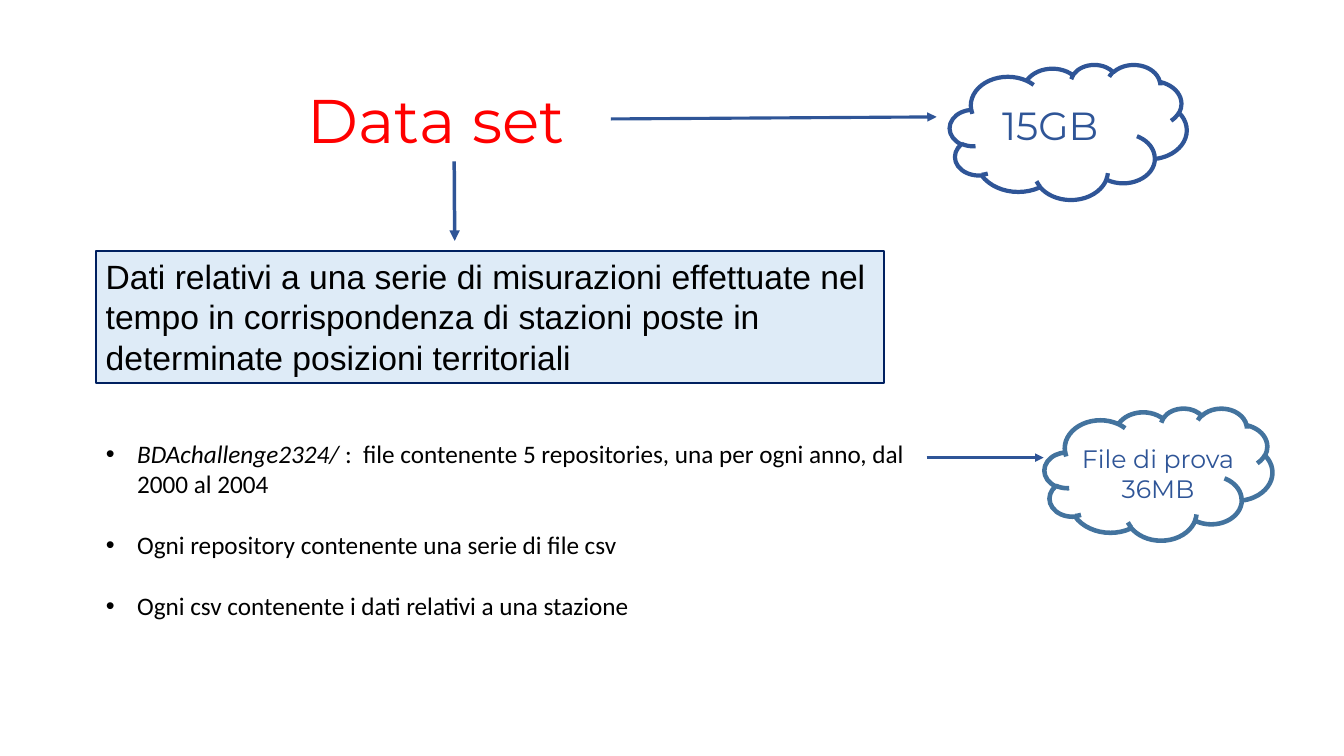
from lxml.etree import SubElement
from pptx import Presentation
from pptx.dml.color import RGBColor
from pptx.enum.shapes import MSO_CONNECTOR as Connector, MSO_SHAPE as Shape
from pptx.enum.text import MSO_ANCHOR as Anchor, MSO_AUTO_SIZE as AutoSize, PP_ALIGN as Align
from pptx.oxml.ns import qn
from pptx.util import Pt

EMU_PER_PX = 9144
RED = RGBColor(0xFF, 0x00, 0x00)
BLACK = RGBColor(0x00, 0x00, 0x00)
WHITE = RGBColor(0xFF, 0xFF, 0xFF)
BLUE = RGBColor(0x2F, 0x55, 0x97)
STEEL = RGBColor(0x43, 0x73, 0x9E)
NAVY = RGBColor(0x00, 0x20, 0x60)
PALE = RGBColor(0xDE, 0xEB, 0xF7)


def px(*lengths):
    return [length * EMU_PER_PX for length in lengths]


def set_format(target, values):
    for name, value in values.items():
        setattr(target, name, value)


class SlideBuilder:
    frame_format = {"word_wrap": True, "auto_size": AutoSize.NONE, "vertical_anchor": Anchor.TOP}
    bullet_indent = 31

    def __init__(self, deck, layout):
        self.page = deck.slides.add_slide(deck.slide_layouts[layout])

    def fill_text(self, box, lines, font, size, color, align=Align.LEFT, gap=0):
        frame = box.text_frame
        set_format(frame, self.frame_format)
        for index, line in enumerate(lines):
            para = frame.add_paragraph() if index else frame.paragraphs[0]
            set_format(para, {"alignment": align, "line_spacing": 1.0,
                              "space_before": Pt(gap if index else 0), "space_after": Pt(0)})
            for text, italic in line:
                span = para.add_run()
                span.text = text
                set_format(span.font, {"name": font, "size": Pt(size), "italic": italic})
                span.font.color.rgb = color
        return box

    def placeholder(self, index, bounds, lines, **style):
        box = self.page.placeholders[index]
        set_format(box, dict(zip(("left", "top", "width", "height"), px(*bounds))))
        return self.fill_text(box, lines, **style)

    def bullets(self, bounds, lines, **style):
        box = self.placeholder(1, bounds, lines, **style)
        indent = self.bullet_indent * EMU_PER_PX
        for para in box.text_frame.paragraphs:
            properties = para._p.get_or_add_pPr()
            properties.set("marL", str(indent))
            properties.set("indent", str(-indent))
            SubElement(properties, qn("a:buFont")).set("typeface", "Arial")
            SubElement(properties, qn("a:buChar")).set("char", "•")

    def label(self, bounds, lines, **style):
        self.fill_text(self.page.shapes.add_textbox(*px(*bounds)), lines, **style)

    def shape(self, kind, bounds, fill, outline, width):
        box = self.page.shapes.add_shape(kind, *px(*bounds))
        box.shadow.inherit = False
        box.fill.solid()
        box.fill.fore_color.rgb = fill
        box.line.color.rgb = outline
        box.line.width = Pt(width)
        return box

    def arrow(self, start, end, width, source=None, side=None):
        line = self.page.shapes.add_connector(Connector.STRAIGHT, *px(*start, *end))
        if source is not None:
            line.begin_connect(source, side)
        line.line.color.rgb = BLUE
        line.line.width = Pt(width)
        SubElement(line.line._get_or_add_ln(), qn("a:tailEnd")).set("type", "triangle")
        SubElement(line._element.spPr, qn("a:effectLst"))


def main():
    deck = Presentation()
    deck.slide_width, deck.slide_height = px(1333, 750)
    slide = SlideBuilder(deck, 1)

    title = slide.placeholder(0, (295, 76, 311, 84), [[("Data set", False)]],
                              font="Montserrat", size=44, color=RED)
    slide.bullets((95, 430, 855, 192), [
        [("BDAchallenge2324/", True),
         (" :  file contenente 5 repositories, una per ogni anno, dal 2000 al 2004", False)],
        [("Ogni repository contenente una serie di file csv", False)],
        [("Ogni csv contenente i dati relativi a una stazione", False)],
    ], font="Calibri", size=18, color=BLACK, gap=22)

    description = slide.shape(Shape.RECTANGLE, (95, 249, 782, 131), PALE, NAVY, 1.25)
    slide.fill_text(description, [[(
        "Dati relativi a una serie di misurazioni effettuate nel tempo in corrispondenza "
        "di stazioni poste in determinate posizioni territoriali", False)]],
        font="Arial", size=24, color=BLACK)

    slide.shape(Shape.CLOUD, (942, 64, 235, 134), WHITE, BLUE, 3)
    slide.label((984, 96, 151, 57), [[("15GB", False)]],
                font="Montserrat", size=28, color=BLUE)
    slide.arrow((606, 118), (929, 116), 2.25, title, 3)

    slide.shape(Shape.CLOUD, (1036, 405, 226, 131), WHITE, STEEL, 3.25)
    slide.label((1049, 435, 199, 71), [[("File di prova", False)], [("36MB", False)]],
                font="Montserrat", size=18, color=BLUE, align=Align.CENTER)
    slide.arrow((919, 454), (1035, 454), 2)
    slide.arrow((451, 160), (451, 239), 2.5, title, 2)

    deck.save("out.pptx")


if __name__ == "__main__":
    main()
